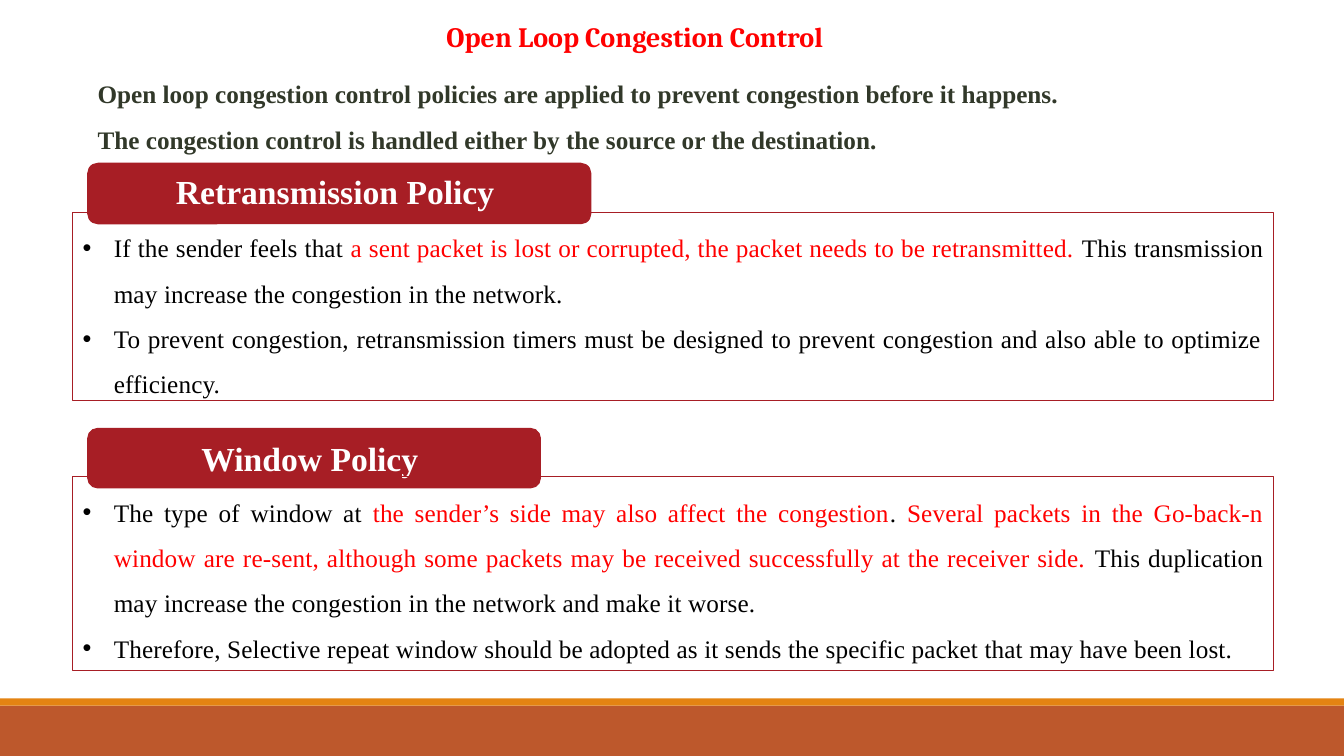
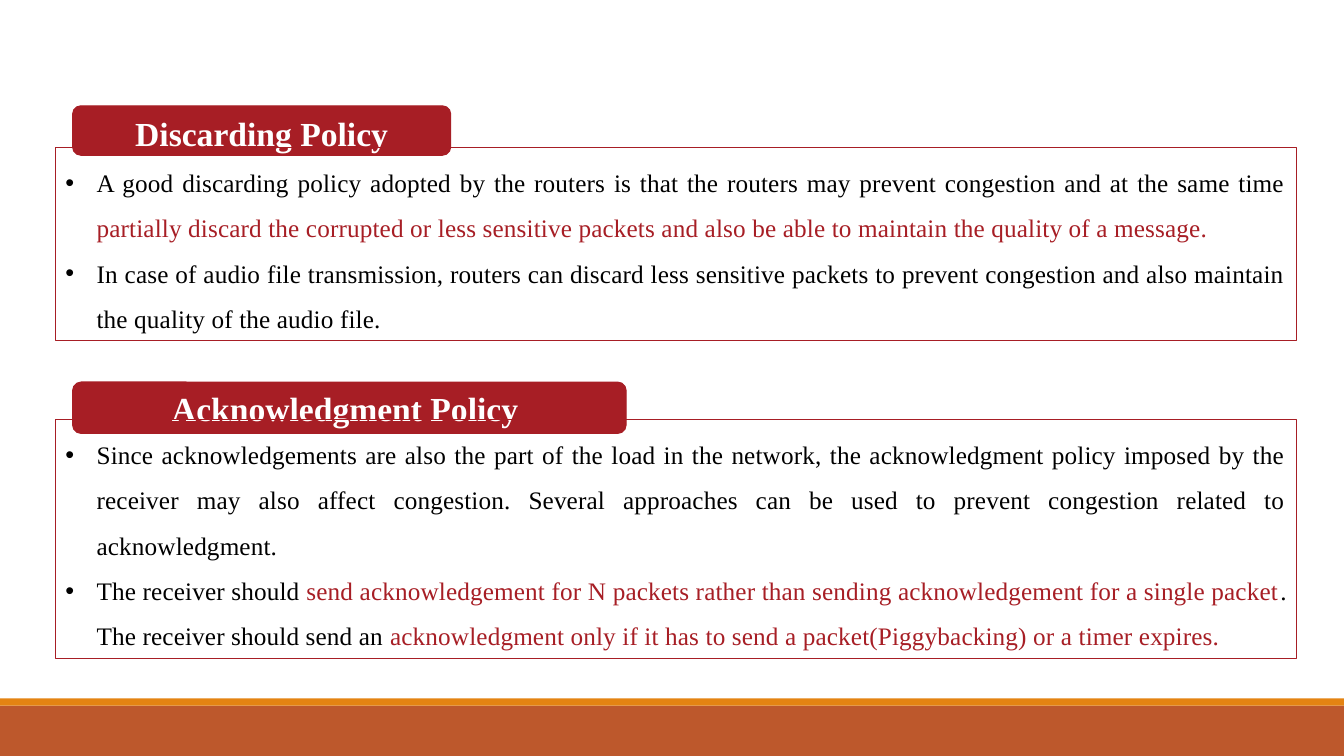
from dataclasses import dataclass

from pptx import Presentation
from pptx.dml.color import RGBColor
from pptx.enum import shapes, text
from pptx.oxml import ns, xmlchemy
from pptx.util import Inches, Pt


@dataclass(frozen=True)
class Theme:
    band: RGBColor = RGBColor.from_string("BD582C")
    stripe: RGBColor = RGBColor.from_string("E48312")
    crimson: RGBColor = RGBColor.from_string("A71E25")
    red: RGBColor = RGBColor.from_string("FF0000")
    olive: RGBColor = RGBColor.from_string("313829")
    black: RGBColor = RGBColor.from_string("000000")
    white: RGBColor = RGBColor.from_string("FFFFFF")
    title_font: str = "Cambria"
    body_font: str = "Times New Roman"
    title_size: Pt = Pt(20)
    heading_size: Pt = Pt(24)
    body_size: Pt = Pt(18)
    outline: Pt = Pt(0.75)


theme = Theme()
TOP, MIDDLE = text.MSO_ANCHOR.TOP, text.MSO_ANCHOR.MIDDLE


def add_block(page, kind, place, fill=None, line=None):
    box = page.shapes.add_shape(kind, *map(Inches, place))
    box.shadow.inherit = False
    if fill is None:
        box.fill.background()
    else:
        box.fill.solid()
        box.fill.fore_color.rgb = fill
    if line is None:
        box.line.fill.background()
    else:
        box.line.color.rgb = line
        box.line.width = theme.outline
    return box


def style(para, name, size, color, bold=False, align=text.PP_ALIGN.LEFT):
    para.alignment = align
    para.font.name, para.font.size, para.font.bold = name, size, bold
    para.font.color.rgb = color


# Content: in each bullet, every second piece of text is emphasised
pages = [
    {
        "title": "Open Loop Congestion Control",
        "intro": [
            "Open loop congestion control policies are applied to prevent congestion before it happens. ",
            "The congestion control is handled either by the source or the destination.",
        ],
        "emphasis": theme.red,
        "left": 0.72, "width": 11.91, "heading_left": 0.87,
        "policies": [
            {
                "heading": "Retransmission Policy ", "anchor": TOP,
                "heading_top": 1.62, "heading_size": (4.99, 0.6),
                "top": 2.11, "height": 1.86,
                "bullets": [
                    ["If the sender feels that ",
                     "a sent packet is lost or corrupted, the packet needs to be retransmitted.",
                     " This transmission may increase the congestion in the network."],
                    ["To prevent congestion, retransmission timers must be designed to prevent "
                     "congestion and also able to optimize efficiency."],
                ],
            },
            {
                "heading": "Window Policy ", "anchor": MIDDLE,
                "heading_top": 4.25, "heading_size": (4.49, 0.59),
                "top": 4.73, "height": 1.92,
                "bullets": [
                    ["The type of window at ",
                     "the sender’s side may also affect the congestion",
                     ". ",
                     "Several packets in the Go-back-n window are re-sent, although some packets "
                     "may be received successfully at the receiver side.",
                     " This duplication may increase the congestion in the network and make it worse."],
                    ["Therefore, Selective repeat window should be adopted as it sends the specific "
                     "packet that may have been lost."],
                ],
            },
        ],
    },
    {
        "title": None,
        "intro": [],
        "emphasis": theme.crimson,
        "left": 0.55, "width": 12.31, "heading_left": 0.72,
        "policies": [
            {
                "heading": "Discarding Policy", "anchor": TOP,
                "heading_top": 1.05, "heading_size": (3.75, 0.49),
                "top": 1.46, "height": 1.92,
                "bullets": [
                    ["A good discarding policy adopted by the routers is that the routers may "
                     "prevent congestion and at the same time ",
                     "partially discard the corrupted or less sensitive packets and also be able "
                     "to maintain the quality of a message."],
                    ["In case of audio file transmission, routers can discard less sensitive packets "
                     "to prevent congestion and also maintain the quality of the audio file."],
                ],
            },
            {
                "heading": "Acknowledgment Policy ", "anchor": MIDDLE,
                "heading_top": 3.79, "heading_size": (5.49, 0.51),
                "top": 4.16, "height": 2.37,
                "bullets": [
                    ["Since acknowledgements are also the part of the load in the network, the "
                     "acknowledgment policy imposed by the receiver may also affect congestion. "
                     "Several approaches can be used to prevent congestion related to acknowledgment."],
                    ["The receiver should ",
                     "send acknowledgement for N packets rather than sending acknowledgement for "
                     "a single packet",
                     ". The receiver should send an ",
                     "acknowledgment only if it has to send a packet(Piggybacking) or a timer expires."],
                ],
            },
        ],
    },
]

deck = Presentation()
deck.slide_width, deck.slide_height = Inches(13.33), Inches(7.5)
blank = deck.slide_layouts[6]

for number, content in enumerate(pages):
    page = deck.slides.add_slide(blank)

    # Footer bands: made once, then moved to the shared layout
    if number == 0:
        for top, height, color in [(7, 0.5, theme.band), (6.93, 0.07, theme.stripe)]:
            band = add_block(page, shapes.MSO_SHAPE.RECTANGLE, (0, top, 13.33, height), color)
            blank.shapes.element.append(band.element)

    # Introduction
    if content["intro"]:
        box = page.shapes.add_textbox(Inches(0.87), Inches(0.58), Inches(11.24), Inches(0.96))
        frame = box.text_frame
        frame.word_wrap = True
        frame.text = "\n".join(content["intro"])
        for para in frame.paragraphs:
            para.line_spacing = 1.5
            style(para, theme.body_font, theme.body_size, theme.olive, True, text.PP_ALIGN.JUSTIFY)

    # Title
    if content["title"]:
        box = page.shapes.add_textbox(Inches(4.33), Inches(0.14), Inches(4.1), Inches(0.44))
        frame = box.text_frame
        frame.word_wrap = False
        frame.text = content["title"]
        style(frame.paragraphs[0], theme.title_font, theme.title_size, theme.red, True)

    for policy in content["policies"]:
        # Policy heading
        heading = add_block(
            page, shapes.MSO_SHAPE.ROUNDED_RECTANGLE,
            (content["heading_left"], policy["heading_top"], *policy["heading_size"]),
            theme.crimson, theme.crimson)
        frame = heading.text_frame
        frame.vertical_anchor = policy["anchor"]
        frame.text = policy["heading"]
        style(frame.paragraphs[0], theme.body_font, theme.heading_size, theme.white, True,
              text.PP_ALIGN.CENTER)

        # Policy details
        details = add_block(
            page, shapes.MSO_SHAPE.RECTANGLE,
            (content["left"], policy["top"], content["width"], policy["height"]),
            line=theme.crimson)
        frame = details.text_frame
        frame.word_wrap = True
        frame.vertical_anchor = TOP
        for index, pieces in enumerate(policy["bullets"]):
            para = frame.add_paragraph() if index else frame.paragraphs[0]
            para.line_spacing = 1.5
            properties = para._p.get_or_add_pPr()
            properties.set("marL", str(Inches(0.31)))
            properties.set("indent", str(-Inches(0.31)))
            for tag, key, value in [("a:buFont", "typeface", "Arial"), ("a:buChar", "char", "•")]:
                bullet = xmlchemy.OxmlElement(tag)
                bullet.set(key, value)
                properties.append(bullet)
            style(para, theme.body_font, theme.body_size, theme.black, align=text.PP_ALIGN.JUSTIFY)
            properties.find(ns.qn("a:defRPr")).set("spc", "10")
            for position, piece in enumerate(pieces):
                span = para.add_run()
                span.text = piece
                if position % 2:
                    span.font.color.rgb = content["emphasis"]

deck.save("out.pptx")
